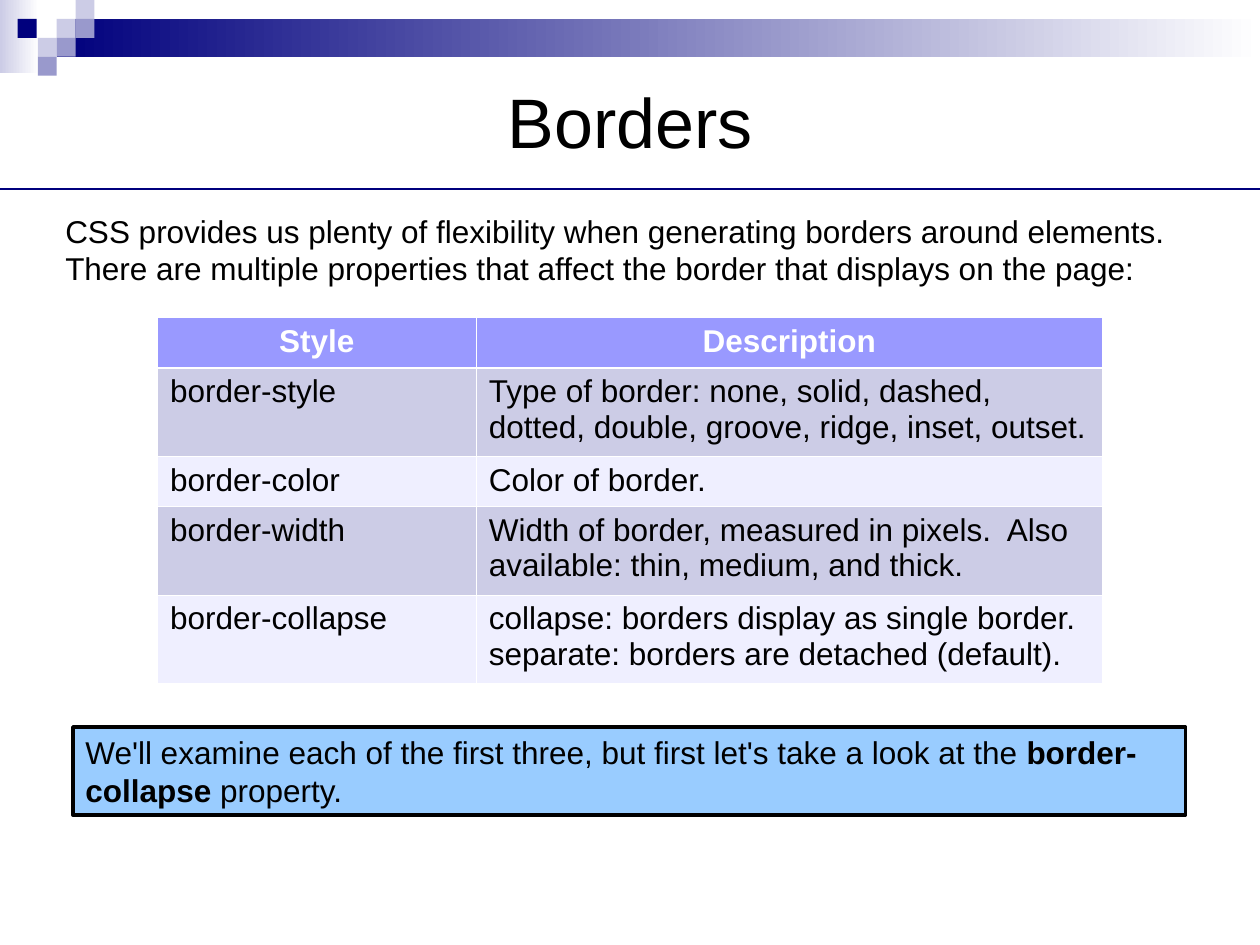
"""Build the slide about CSS border properties."""
from lxml import etree
from pptx import Presentation, util as u
from pptx.dml.color import RGBColor
from pptx.enum import shapes, text
from pptx.oxml import ns

COLORS = {
    "navy": "00007D", "lavender": "CCCCE6", "slate": "9999CC", "white": "FFFFFF",
    "black": "000000", "header": "9999FF", "pale": "EFEFFF", "sky": "99CCFF",
}
ROWS = [
    ["Style", "Description"],
    ["border-style", "Type of border: none, solid, dashed, dotted, double, groove, ridge, inset, outset."],
    ["border-color", "Color of border."],
    ["border-width", "Width of border, measured in pixels.  Also available: thin, medium, and thick."],
    ["border-collapse", "collapse: borders display as single border.\nseparate: borders are detached (default)."],
]
SQUARES = [
    (0.45, 0.15, "lavender"), (0.6, 0, "lavender"), (0.6, 0.15, "slate"), (0.3, 0.3, "lavender"),
    (0.14, 0.15, "navy"), (0.45, 0.3, "slate"), (0.3, 0.45, "slate"),
]


def color(name):
    return RGBColor.from_string(COLORS[name])


def box(*lengths):
    return [u.Inches(length) for length in lengths]


class SlideBuilder:
    """Holds the text style and the slide being built."""

    def __init__(self, slide, font="Arial", size=18):
        self.slide, self.font, self.size = slide, font, size

    def add_runs(self, paragraph, runs, size=None, fill="black", align=text.PP_ALIGN.LEFT):
        paragraph.alignment = align
        for words, bold in runs:
            run = paragraph.add_run()
            run.text = words
            run.font.name, run.font.size, run.font.bold = self.font, u.Pt(size or self.size), bold
            run.font.color.rgb = color(fill)

    def title(self, words, place):
        shape = self.slide.shapes.title
        shape.left, shape.top, shape.width, shape.height = box(*place)
        shape.text_frame.vertical_anchor = text.MSO_ANCHOR.MIDDLE
        self.add_runs(shape.text_frame.paragraphs[0], [(words, False)], 40, align=text.PP_ALIGN.CENTER)

    def textbox(self, runs, place):
        shape = self.slide.shapes.add_textbox(*box(*place))
        shape.text_frame.word_wrap = True
        self.add_runs(shape.text_frame.paragraphs[0], runs)

    def rectangle(self, place, *fills):
        shape = self.slide.shapes.add_shape(shapes.MSO_SHAPE.RECTANGLE, *box(*place))
        shape.shadow.inherit = False
        shape.line.fill.background()
        if len(fills) == 1:
            shape.fill.solid()
            shape.fill.fore_color.rgb = color(fills[0])
        else:
            shape.fill.gradient()
            shape.fill.gradient_angle = 0
            for position, (stop, fill) in enumerate(zip(shape.fill.gradient_stops, fills)):
                stop.position, stop.color.rgb = position, color(fill)
        return shape

    def callout(self, runs, place):
        shape = self.rectangle(place, "sky")
        shape.line.color.rgb, shape.line.width = color("black"), u.Pt(2)
        shape.text_frame.word_wrap = True
        shape.text_frame.vertical_anchor = text.MSO_ANCHOR.TOP
        self.add_runs(shape.text_frame.paragraphs[0], runs)

    def rule(self, top, width):
        line = self.slide.shapes.add_connector(shapes.MSO_CONNECTOR.STRAIGHT, *box(0, top, width, top))
        line.line.color.rgb, line.line.width = color("navy"), u.Pt(1.25)
        etree.SubElement(line._element.spPr, ns.qn("a:effectLst"))

    def borders(self, cell, row):
        properties = cell._tc.get_or_add_tcPr()
        for side in "LRTB":
            heavy = (row, side) in ((0, "B"), (1, "T"))
            border = etree.SubElement(properties, ns.qn(f"a:ln{side}"), w=str(u.Pt(1.47 if heavy else 0.45)))
            fill = etree.SubElement(border, ns.qn("a:solidFill"))
            etree.SubElement(fill, ns.qn("a:srgbClr"), val=COLORS["white"])

    def table(self, rows, place, widths, heights):
        table = self.slide.shapes.add_table(len(rows), len(widths), *box(*place)).table
        for column, width in zip(table.columns, widths):
            column.width = u.Inches(width)
        for row, (words, height) in enumerate(zip(rows, heights)):
            table.rows[row].height = u.Inches(height)
            header = row == 0
            fill = "header" if header else "lavender" if row % 2 else "pale"
            for column, content in enumerate(words):
                cell = table.cell(row, column)
                self.borders(cell, row)
                cell.fill.solid()
                cell.fill.fore_color.rgb = color(fill)
                for index, line in enumerate(content.split("\n")):
                    frame = cell.text_frame
                    paragraph = frame.add_paragraph() if index else frame.paragraphs[0]
                    self.add_runs(paragraph, [(line, header)], fill="white" if header else "black",
                                  align=text.PP_ALIGN.CENTER if header else text.PP_ALIGN.LEFT)


def main():
    presentation = Presentation()
    presentation.slide_width, presentation.slide_height = box(10, 7.5)
    builder = SlideBuilder(presentation.slides.add_slide(presentation.slide_layouts[5]))

    builder.rectangle((0, 0, 0.31, 0.58), "lavender", "white")
    builder.rectangle((0.45, 0.15, 9.55, 0.3), "navy", "white")
    for left, top, fill in SQUARES:
        builder.rectangle((left, top, 0.15, 0.15), fill)
    builder.rule(1.5, 10)
    builder.title("Borders", (0.5, 0.42, 9, 1.08))
    builder.textbox([("CSS provides us plenty of flexibility when generating borders around elements.  There are "
                      "multiple properties that affect the border that displays on the page:", False)],
                    (0.42, 1.63, 9.17, 0.7))
    builder.table(ROWS, (1.25, 2.52, 7.5, 2.9), (2.53, 4.97), (0.4, 0.7, 0.4, 0.7, 0.7))
    builder.callout([("We'll examine each of the first three, but first let's take a look at the ", False),
                     ("border-collapse", True), (" property.", False)], (0.58, 5.77, 8.83, 0.7))
    presentation.save("out.pptx")


if __name__ == "__main__":
    main()
